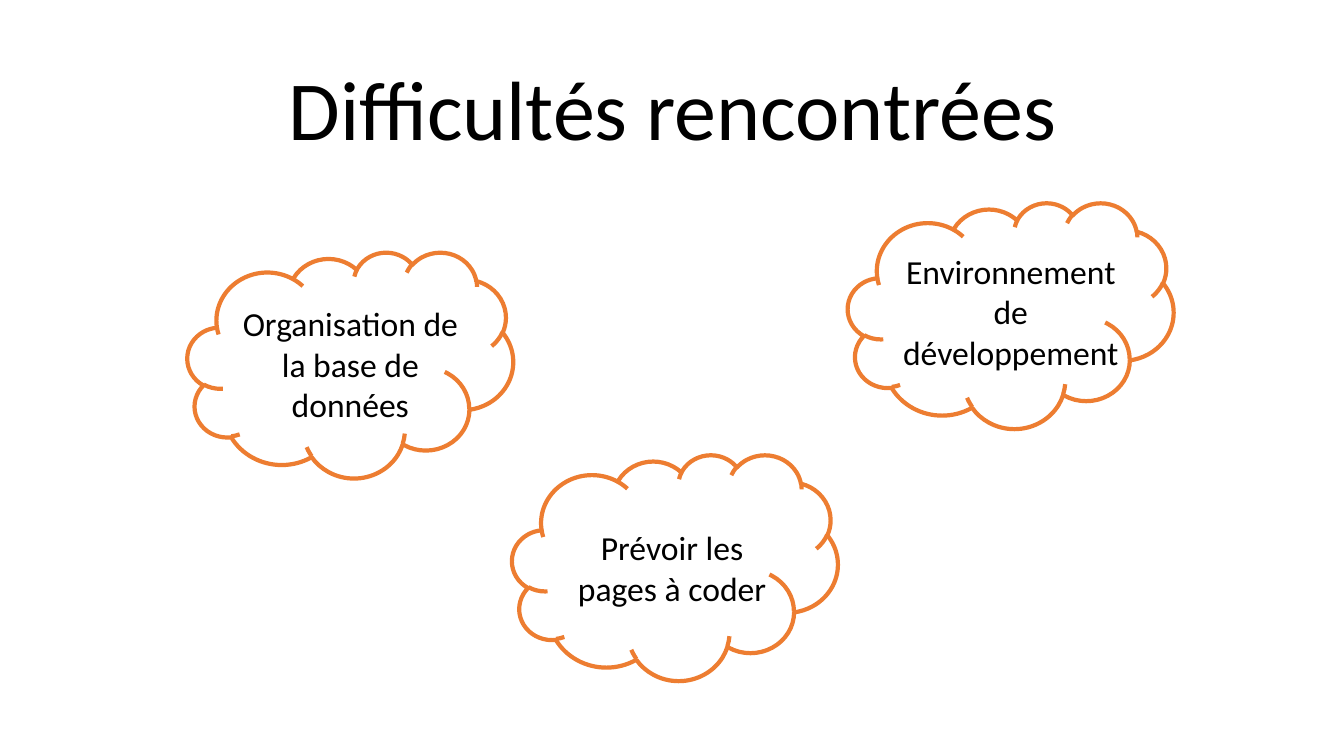
from dataclasses import dataclass

from pptx import Presentation
from pptx.dml.color import RGBColor
from pptx.enum.shapes import MSO_SHAPE
from pptx.enum.text import MSO_ANCHOR, PP_ALIGN
from pptx.slide import Slide
from pptx.text.text import TextFrame
from pptx.util import Inches, Pt

CLOUD = MSO_SHAPE.CLOUD
CENTER = PP_ALIGN.CENTER
MIDDLE, TOP = MSO_ANCHOR.MIDDLE, MSO_ANCHOR.TOP

BLACK = RGBColor(0x00, 0x00, 0x00)
ORANGE = RGBColor(0xED, 0x7D, 0x31)
FONT = "Calibri"
TITLE_LAYOUT = 5

CLOUD_WIDTH, CLOUD_HEIGHT = 3.23, 2.24
LABEL_WIDTH = 2.35


@dataclass(frozen=True)
class Difficulty:
    label: str
    cloud_left: float
    cloud_top: float
    label_left: float
    label_top: float
    label_height: float


DIFFICULTIES = [
    Difficulty("Organisation de la base de données", 1.86, 2.5, 2.3, 2.96, 1.31),
    Difficulty("Prévoir les pages à coder", 5.08, 4.51, 5.49, 5.18, 0.91),
    Difficulty("Environnement de développement", 8.41, 2.01, 8.85, 2.44, 1.31),
]


def write_text(frame: TextFrame, text: str, *, size: float,
               anchor: MSO_ANCHOR = TOP, line_spacing: float = 1.0) -> None:
    frame.word_wrap = True
    frame.vertical_anchor = anchor
    para = frame.paragraphs[0]
    para.alignment = CENTER
    para.line_spacing = line_spacing
    span = para.add_run()
    span.text = text
    span.font.name = FONT
    span.font.size = Pt(size)
    span.font.color.rgb = BLACK


def add_title(page: Slide, text: str) -> None:
    title = page.shapes.title
    title.left, title.top = Inches(0.92), Inches(0.4)
    title.width, title.height = Inches(11.5), Inches(1.45)
    write_text(title.text_frame, text, size=60, anchor=MIDDLE, line_spacing=0.9)


def add_difficulty(page: Slide, item: Difficulty) -> None:
    cloud = page.shapes.add_shape(
        CLOUD, Inches(item.cloud_left), Inches(item.cloud_top),
        Inches(CLOUD_WIDTH), Inches(CLOUD_HEIGHT))
    cloud.shadow.inherit = False
    cloud.fill.background()
    cloud.line.color.rgb = ORANGE
    cloud.line.width = Pt(3)

    box = page.shapes.add_textbox(
        Inches(item.label_left), Inches(item.label_top),
        Inches(LABEL_WIDTH), Inches(item.label_height))
    write_text(box.text_frame, item.label, size=24)


def main() -> None:
    deck = Presentation()
    deck.slide_width, deck.slide_height = Inches(13.33), Inches(7.5)
    page = deck.slides.add_slide(deck.slide_layouts[TITLE_LAYOUT])
    add_title(page, "Difficultés rencontrées")
    for item in DIFFICULTIES:
        add_difficulty(page, item)
    deck.save("out.pptx")


if __name__ == "__main__":
    main()
